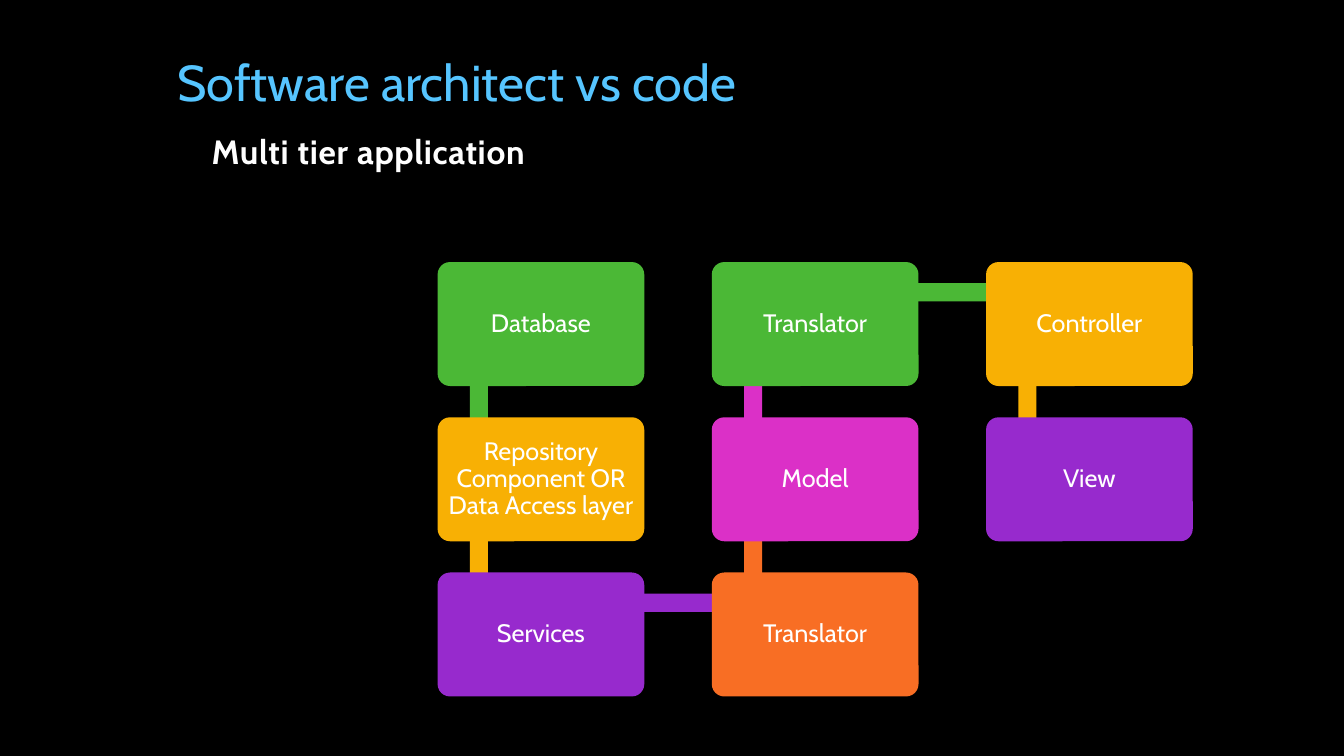
from dataclasses import dataclass

from lxml.etree import SubElement
from pptx import Presentation
from pptx.dml.color import RGBColor
from pptx.enum.shapes import MSO_SHAPE
from pptx.enum.text import MSO_ANCHOR, MSO_AUTO_SIZE, PP_ALIGN
from pptx.oxml.ns import qn
from pptx.shapes.autoshape import Shape
from pptx.slide import Slide
from pptx.text.text import Font, TextFrame
from pptx.util import Inches, Pt

SLIDE_WIDTH, SLIDE_HEIGHT = 13.33, 7.5
GRID_LEFT, GRID_TOP = 4.34, 2.6
COLUMN_PITCH, ROW_PITCH = 2.72, 1.54
TIER_WIDTH, TIER_HEIGHT = 2.05, 1.23
LINK_X, LINK_Y = 0.41, 0.3  # where links meet, inside each tier
LINK_THICKNESS = 0.18
HEADING_WIDTH, HEADING_HEIGHT = 10, 0.75

GREEN, AMBER, PURPLE = "4BB836", "F8B004", "972ACD"
ORANGE, PINK = "F86E24", "DB30C7"
SKY, WHITE, NEAR_WHITE, BLACK = "56C5FF", "FFFFFF", "FEFEFE", "000000"


@dataclass(frozen=True)
class Tier:
    name: str
    column: int
    row: int
    color: str

    @property
    def left(self) -> float:
        return GRID_LEFT + self.column * COLUMN_PITCH

    @property
    def top(self) -> float:
        return GRID_TOP + self.row * ROW_PITCH


# In the order in which the links run.
TIERS = [
    Tier("Database", 0, 0, GREEN),
    Tier("Repository Component OR Data Access layer", 0, 1, AMBER),
    Tier("Services", 0, 2, PURPLE),
    Tier("Translator", 1, 2, ORANGE),
    Tier("Model", 1, 1, PINK),
    Tier("Translator", 1, 0, GREEN),
    Tier("Controller", 2, 0, AMBER),
    Tier("View", 2, 1, PURPLE),
]


def rgb(color: str) -> RGBColor:
    return RGBColor.from_string(color)


def style_font(font: Font, size: float, color: str) -> None:
    font.name = "Cabin"
    font.size = Pt(size)
    font.color.rgb = rgb(color)


def add_block(slide: Slide, preset: MSO_SHAPE, left: float, top: float,
              width: float, height: float, color: str) -> Shape:
    block = slide.shapes.add_shape(
        preset, Inches(left), Inches(top), Inches(width), Inches(height))
    block.shadow.inherit = False
    block.fill.solid()
    block.fill.fore_color.rgb = rgb(color)
    block.line.fill.background()
    return block


def add_link(slide: Slide, start: Tier, end: Tier) -> None:
    """Draw a bar between the link points of two neighbouring tiers."""
    left = min(start.left, end.left) + LINK_X
    top = min(start.top, end.top) + LINK_Y
    half = LINK_THICKNESS / 2
    if start.column == end.column:
        place = (left - half, top, LINK_THICKNESS, ROW_PITCH)
    else:
        place = (left, top - half, COLUMN_PITCH, LINK_THICKNESS)
    add_block(slide, MSO_SHAPE.RECTANGLE, *place, start.color)


def add_tier(slide: Slide, tier: Tier) -> None:
    box = add_block(slide, MSO_SHAPE.ROUNDED_RECTANGLE, tier.left, tier.top,
                    TIER_WIDTH, TIER_HEIGHT, tier.color)
    box.adjustments[0] = 0.1
    frame = box.text_frame
    frame.word_wrap = True
    frame.vertical_anchor = MSO_ANCHOR.MIDDLE
    frame.margin_left = frame.margin_right = Inches(0.07)
    frame.margin_top = frame.margin_bottom = Inches(0.07)
    label = frame.paragraphs[0]
    label.text = tier.name
    label.alignment = PP_ALIGN.CENTER
    label.line_spacing = 0.9
    style_font(label.font, 18, WHITE)


def set_heading(frame: TextFrame, text: str, size: float, color: str) -> None:
    frame.word_wrap = True
    frame.auto_size = MSO_AUTO_SIZE.NONE
    frame.vertical_anchor = MSO_ANCHOR.BOTTOM
    line = frame.paragraphs[0]
    line.text = text
    line.alignment = PP_ALIGN.LEFT
    line.line_spacing = 0.9
    style_font(line.font, size, color)


def add_title(slide: Slide) -> None:
    title = slide.shapes.title
    title.left, title.top = Inches(1.66), Inches(0.42)
    title.width, title.height = Inches(HEADING_WIDTH), Inches(HEADING_HEIGHT)
    set_heading(title.text_frame, "Software architect vs code", 36, SKY)


def add_subtitle(slide: Slide) -> None:
    subtitle = slide.shapes.add_textbox(
        Inches(2), Inches(1), Inches(HEADING_WIDTH), Inches(HEADING_HEIGHT))
    frame = subtitle.text_frame
    set_heading(frame, "Multi tier application", 24, NEAR_WHITE)
    run = frame.paragraphs[0].runs[0]
    style_font(run.font, 24, NEAR_WHITE)
    run.font.bold = True
    add_outline_and_shadow(run.font, SKY)


def add_outline_and_shadow(font: Font, color: str) -> None:
    properties = font._element
    properties.set("spc", "50")
    outline = SubElement(properties, qn("a:ln"), w=str(Pt(0.75)))
    outline_fill = SubElement(outline, qn("a:solidFill"))
    SubElement(outline_fill, qn("a:srgbClr"), val=color)
    effects = SubElement(properties, qn("a:effectLst"))
    shadow = SubElement(effects, qn("a:outerShdw"), blurRad="0",
                        dist=str(Pt(1)), dir="2700000")
    SubElement(shadow, qn("a:srgbClr"), val=color)
    properties.insert(0, outline)
    properties.find(qn("a:solidFill")).addnext(effects)


def main() -> None:
    deck = Presentation()
    deck.slide_width = Inches(SLIDE_WIDTH)
    deck.slide_height = Inches(SLIDE_HEIGHT)
    slide = deck.slides.add_slide(deck.slide_layouts.get_by_name("Title Only"))
    slide.background.fill.solid()
    slide.background.fill.fore_color.rgb = rgb(BLACK)

    add_title(slide)
    for start, end in zip(TIERS, TIERS[1:]):
        add_link(slide, start, end)
    for tier in TIERS:
        add_tier(slide, tier)
    add_subtitle(slide)
    deck.save("out.pptx")


if __name__ == "__main__":
    main()
